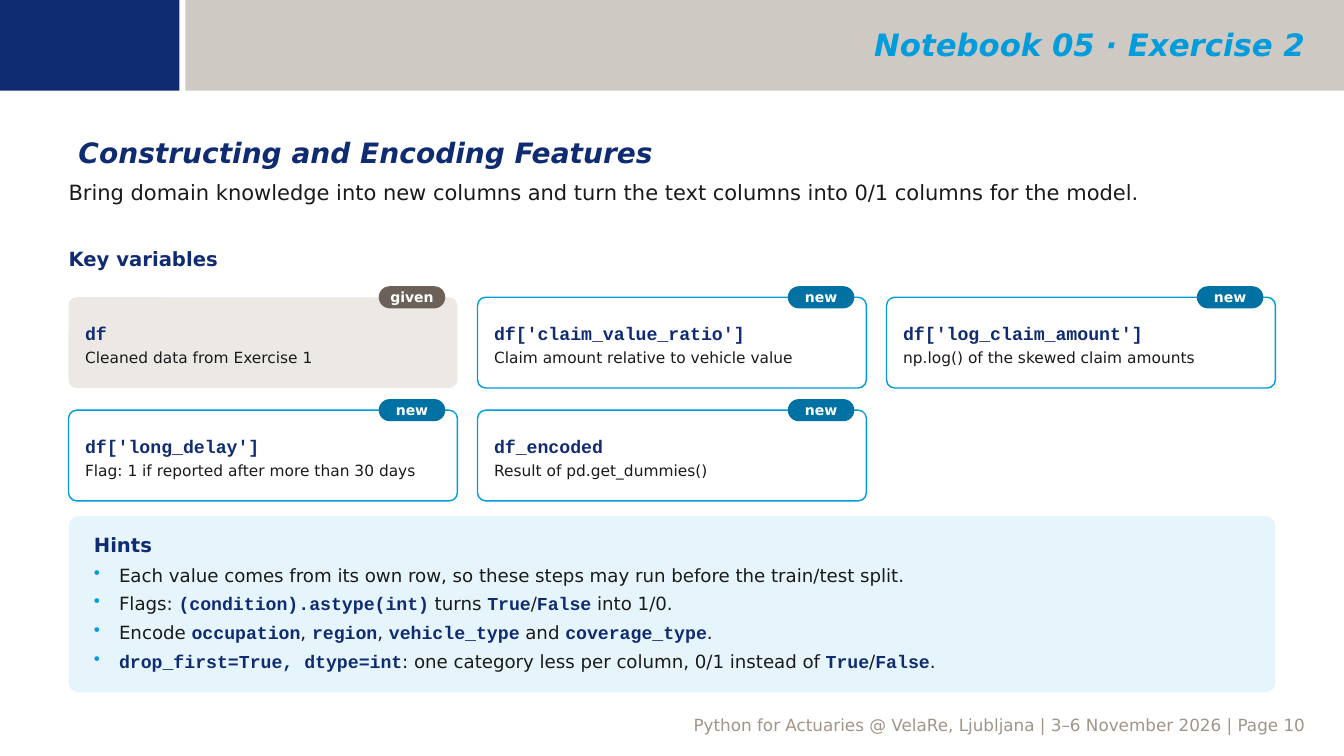
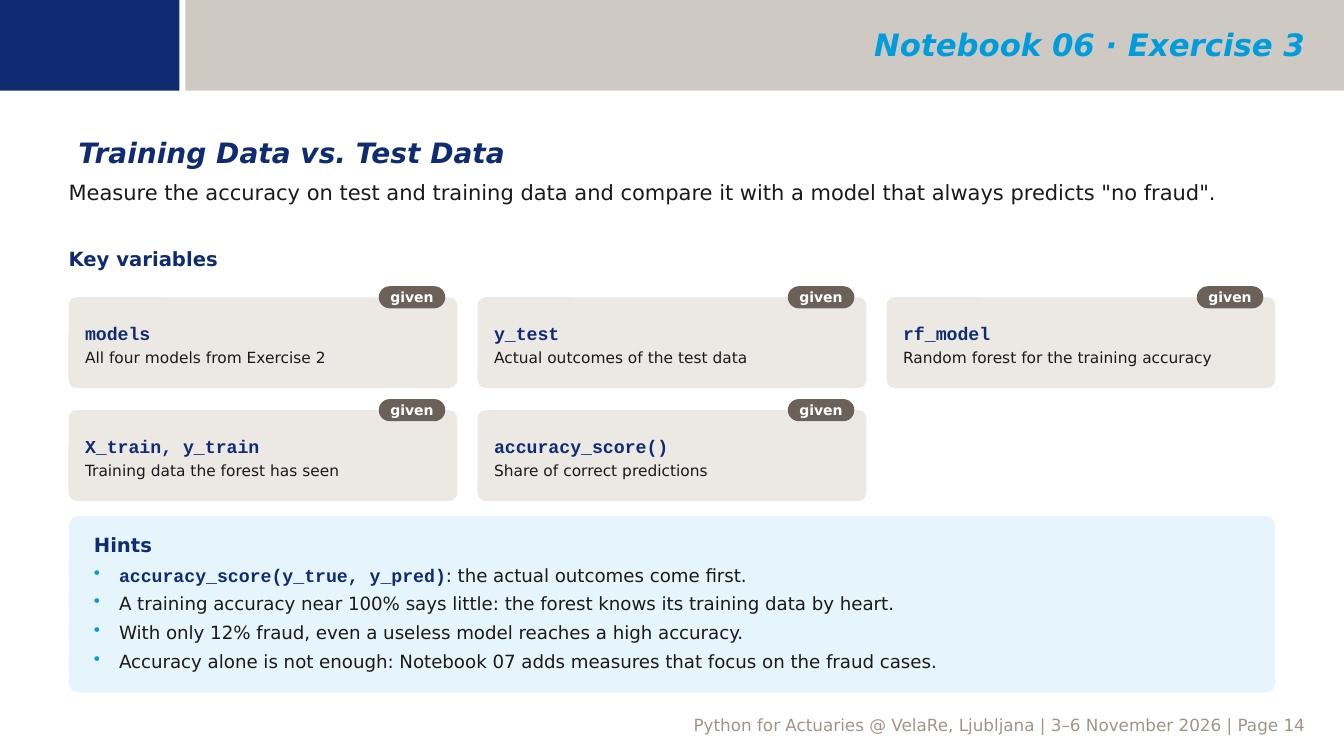
"""Build two exercise slides with variable cards and hints."""

from dataclasses import dataclass
from typing import NamedTuple, Optional

import lxml.etree
import pptx
import pptx.dml.color
import pptx.enum.shapes
import pptx.enum.text
import pptx.oxml.ns
import pptx.presentation
import pptx.shapes.base
import pptx.slide
import pptx.text.text
import pptx.util

RGBColor = pptx.dml.color.RGBColor
NAVY = RGBColor(0x0F, 0x2B, 0x72)
BLOCK = RGBColor(0x0F, 0x2C, 0x73)
CYAN = RGBColor(0x00, 0x9C, 0xDB)
TEAL = RGBColor(0x00, 0x71, 0xA3)
STONE = RGBColor(0xA1, 0x95, 0x89)
BROWN = RGBColor(0x6B, 0x61, 0x58)
SAND = RGBColor(0xEC, 0xE9, 0xE5)
ICE = RGBColor(0xE6, 0xF5, 0xFB)
INK = RGBColor(0x1A, 0x1A, 0x1A)
WHITE = RGBColor(0xFF, 0xFF, 0xFF)

SANS = "DejaVu Sans"
MONO = "Courier New"
FORM = pptx.enum.shapes.MSO_SHAPE
ALIGN = pptx.enum.text.PP_ALIGN
ANCHOR = pptx.enum.text.MSO_ANCHOR

WIDTH = pptx.util.Inches(13.33)
HEIGHT = pptx.util.Inches(7.5)


class Box(NamedTuple):
    """A frame in percent of the slide's width and height."""

    left: float
    top: float
    width: float
    height: float

    def place(self) -> tuple[int, int, int, int]:
        """Return the frame in slide units."""
        return (
            round(self.left * WIDTH / 100),
            round(self.top * HEIGHT / 100),
            round(self.width * WIDTH / 100),
            round(self.height * HEIGHT / 100),
        )


class Inset(NamedTuple):
    """Text margins in inches."""

    left: float = 0
    top: float = 0
    right: float = 0
    bottom: float = 0


@dataclass(frozen=True)
class Style:
    """The look of a paragraph."""

    size: float
    color: RGBColor
    bold: bool = False
    italic: bool = False
    face: str = SANS
    align: Optional[ALIGN] = ALIGN.LEFT
    before: float = 0
    bullet: bool = False


@dataclass(frozen=True)
class Kind:
    """The look of a card and its tag."""

    label: str
    tag: RGBColor
    fill: RGBColor
    line: Optional[RGBColor] = None


@dataclass(frozen=True)
class Card:
    """A variable with its meaning."""

    name: str
    text: str
    kind: Kind


@dataclass(frozen=True)
class Page:
    """The content of one slide."""

    number: int
    head: str
    title: str
    task: str
    cards: list[Card]
    hints: list[str]


LEFT, SPAN = 5.1, 89.8
COLS, GAP = 3, 1.5
CARD_W = (SPAN - GAP * (COLS - 1)) / COLS
CARD_H = 12
CARD_TOP, PITCH = 39.33, 14.93
TAG_W, TAG_H, TAG_GAP = 4.95, 2.93, 0.9
BAND_H = 12

NONE = Inset()
PLAIN = Inset(0.1, 0.05, 0.1, 0.05)
CARD_IN = Inset(0.14, 0.1, 0.14, 0.06)
HINT_IN = Inset(0.22, 0.14, 0.22, 0.1)

FOOT = Style(12, STONE, align=ALIGN.RIGHT)
HEAD = Style(22, CYAN, True, True, align=ALIGN.RIGHT)
TITLE = Style(20, NAVY, True, True)
TASK = Style(15, INK)
LABEL = Style(14, NAVY, True)
CODE = Style(13, NAVY, True, face=MONO)
NOTE = Style(11, INK, before=3)
TAG = Style(10, WHITE, True, align=ALIGN.CENTER)
HINT = Style(13, INK, before=5, bullet=True)

GIVEN = Kind("given", BROWN, SAND)
NEW = Kind("new", TEAL, WHITE, CYAN)

PAGES = [
    Page(
        10,
        "Notebook 05 · Exercise 2",
        "Constructing and Encoding Features",
        "Bring domain knowledge into new columns and turn the text columns "
        "into 0/1 columns for the model.",
        [
            Card("df", "Cleaned data from Exercise 1", GIVEN),
            Card("df['claim_value_ratio']", "Claim amount relative to vehicle value", NEW),
            Card("df['log_claim_amount']", "np.log() of the skewed claim amounts", NEW),
            Card("df['long_delay']", "Flag: 1 if reported after more than 30 days", NEW),
            Card("df_encoded", "Result of pd.get_dummies()", NEW),
        ],
        [
            "Each value comes from its own row, so these steps may run before the train/test split.",
            "Flags: `(condition).astype(int)` turns `True`/`False` into 1/0.",
            "Encode `occupation`, `region`, `vehicle_type` and `coverage_type`.",
            "`drop_first=True, dtype=int`: one category less per column, "
            "0/1 instead of `True`/`False`.",
        ],
    ),
    Page(
        14,
        "Notebook 06 · Exercise 3",
        "Training Data vs. Test Data",
        "Measure the accuracy on test and training data and compare it "
        'with a model that always predicts "no fraud".',
        [
            Card("models", "All four models from Exercise 2", GIVEN),
            Card("y_test", "Actual outcomes of the test data", GIVEN),
            Card("rf_model", "Random forest for the training accuracy", GIVEN),
            Card("X_train, y_train", "Training data the forest has seen", GIVEN),
            Card("accuracy_score()", "Share of correct predictions", GIVEN),
        ],
        [
            "`accuracy_score(y_true, y_pred)`: the actual outcomes come first.",
            "A training accuracy near 100% says little: the forest knows its training data by heart.",
            "With only 12% fraud, even a useless model reaches a high accuracy.",
            "Accuracy alone is not enough: Notebook 07 adds measures that focus on the fraud cases.",
        ],
    ),
]


def dress(font: pptx.text.text.Font, style: Style) -> None:
    """Give a font the look of a style."""
    font.name = style.face
    font.size = pptx.util.Pt(style.size)
    font.bold = style.bold
    font.italic = style.italic
    font.color.rgb = style.color


def mark(par: pptx.text.text._Paragraph) -> None:
    """Add a coloured bullet with a hanging indent."""
    qn = pptx.oxml.ns.qn
    props = par._p.get_or_add_pPr()
    indent = pptx.util.Inches(0.25)
    props.set("marL", str(indent))
    props.set("indent", str(-indent))
    tint = lxml.etree.SubElement(props, qn("a:buClr"))
    lxml.etree.SubElement(tint, qn("a:srgbClr"), val=str(CYAN))
    lxml.etree.SubElement(props, qn("a:buChar"), char="•")


def write(
    shape: pptx.shapes.base.BaseShape,
    lines: list[tuple[str, Style]],
    inset: Inset = NONE,
    anchor: ANCHOR = ANCHOR.TOP,
) -> None:
    """Fill a shape with paragraphs, setting text in backticks as code."""
    frame = shape.text_frame
    frame.word_wrap = True
    frame.vertical_anchor = anchor
    frame.margin_left, frame.margin_top, frame.margin_right, frame.margin_bottom = map(
        pptx.util.Inches, inset
    )
    for row, (text, style) in enumerate(lines):
        par = frame.add_paragraph() if row else frame.paragraphs[0]
        par.alignment = style.align
        if style.before:
            par.space_before = pptx.util.Pt(style.before)
        if style.bullet:
            mark(par)
        dress(par.font, style)
        for turn, part in enumerate(text.split("`")):
            if part:
                run = par.add_run()
                run.text = part
                if turn % 2:
                    dress(run.font, CODE)


def label(
    slide: pptx.slide.Slide, box: Box, text: str, style: Style,
    inset: Inset = NONE, anchor: ANCHOR = ANCHOR.TOP,
) -> None:
    """Draw a line of text."""
    write(slide.shapes.add_textbox(*box.place()), [(text, style)], inset, anchor)


def panel(
    slide: pptx.slide.Slide, box: Box, fill: RGBColor,
    line: Optional[RGBColor] = None, curve: float = 0,
) -> pptx.shapes.base.BaseShape:
    """Draw a filled rectangle, rounded if it has a curve."""
    form = FORM.ROUNDED_RECTANGLE if curve else FORM.RECTANGLE
    shape = slide.shapes.add_shape(form, *box.place())
    shape.shadow.inherit = False
    shape.fill.solid()
    shape.fill.fore_color.rgb = fill
    if curve:
        shape.adjustments[0] = curve
    if line is None:
        shape.line.fill.background()
    else:
        shape.line.color.rgb = line
        shape.line.width = pptx.util.Pt(1)
    return shape


def frame(slide: pptx.slide.Slide, page: Page) -> None:
    """Draw the footer, the bands and the headings."""
    foot = f"Python for Actuaries @ VelaRe, Ljubljana | 3–6 November 2026 | Page {page.number}"
    label(slide, Box(5.7, 94, 92.2, 1.2), foot, FOOT, PLAIN)
    band = panel(slide, Box(13.8, 0, 86.2, BAND_H), STONE)
    tint = band._element.xpath("./p:spPr/a:solidFill/a:srgbClr")[0]
    lxml.etree.SubElement(tint, pptx.oxml.ns.qn("a:alpha"), val="50000")
    panel(slide, Box(0, 0, 13.35, BAND_H), BLOCK)
    label(slide, Box(15.15, 0.27, 82.67, 11.2), page.head, HEAD, PLAIN, ANCHOR.MIDDLE)
    label(slide, Box(LEFT, 17.33, SPAN, 5.33), page.title, TITLE, PLAIN)
    label(slide, Box(LEFT, 23.73, SPAN, 8.27), page.task, TASK)
    label(slide, Box(LEFT, 32.67, 45, 4.27), "Key variables", LABEL)


def tile(slide: pptx.slide.Slide, card: Card, spot: int) -> None:
    """Draw a card and its tag at a spot of the grid."""
    row, col = divmod(spot, COLS)
    left = LEFT + col * (CARD_W + GAP)
    top = CARD_TOP + row * PITCH
    kind = card.kind
    body = panel(slide, Box(left, top, CARD_W, CARD_H), kind.fill, kind.line, 0.09)
    write(body, [(card.name, CODE), (card.text, NOTE)], CARD_IN, ANCHOR.MIDDLE)
    edge = left + CARD_W - TAG_GAP - TAG_W
    tag = panel(slide, Box(edge, top - TAG_H / 2, TAG_W, TAG_H), kind.tag, curve=0.5)
    write(tag, [(kind.label, TAG)], anchor=ANCHOR.MIDDLE)


def draw(deck: pptx.presentation.Presentation, page: Page) -> None:
    """Add one exercise slide."""
    slide = deck.slides.add_slide(deck.slide_layouts[6])
    frame(slide, page)
    for spot, card in enumerate(page.cards):
        tile(slide, card, spot)
    hints = panel(slide, Box(LEFT, 68.27, SPAN, 23.33), ICE, curve=0.06)
    write(hints, [("Hints", LABEL)] + [(text, HINT) for text in page.hints], HINT_IN)


def main() -> None:
    """Build and save the slides."""
    deck = pptx.Presentation()
    deck.slide_width, deck.slide_height = WIDTH, HEIGHT
    for page in PAGES:
        draw(deck, page)
    deck.save("out.pptx")


if __name__ == "__main__":
    main()
